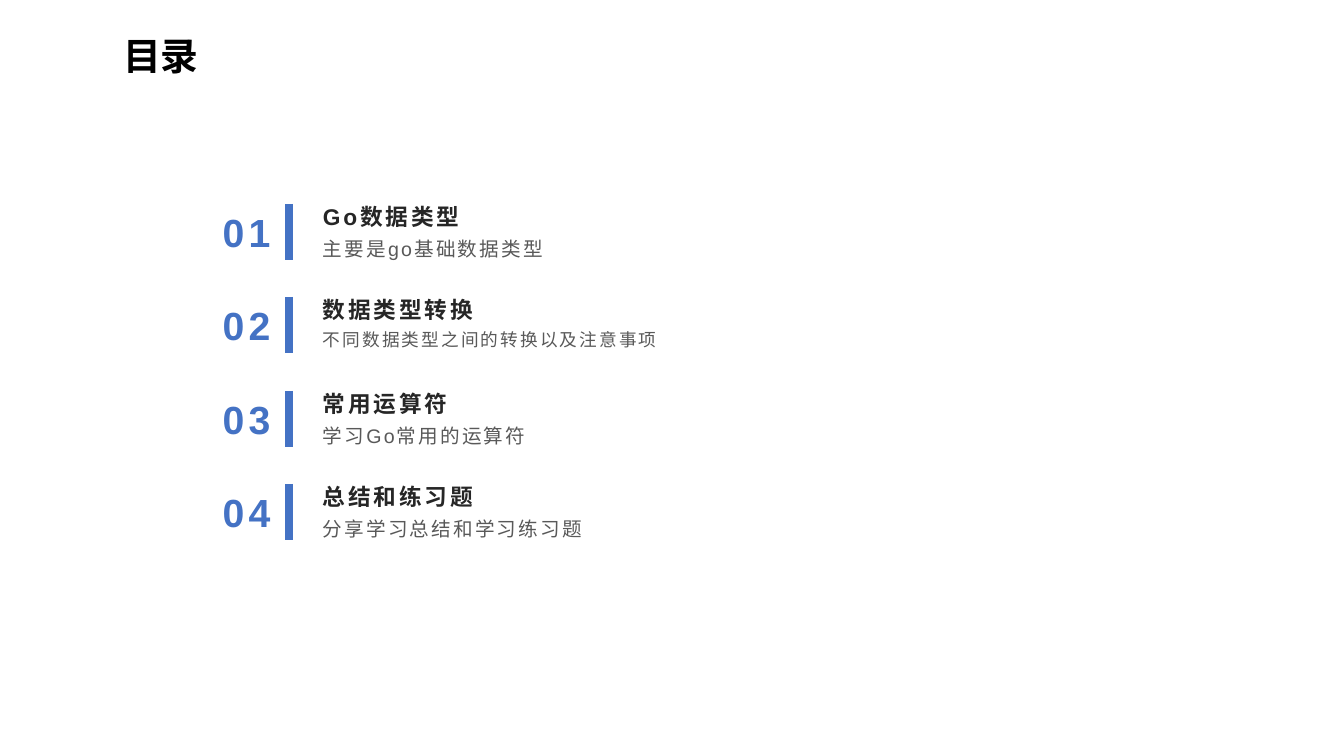
"""Build the contents slide of a Go course."""
from dataclasses import dataclass

from lxml import etree
from pptx import Presentation
from pptx import util as u
from pptx.dml.color import RGBColor
from pptx.enum import shapes, text
from pptx.oxml.ns import qn

PX = 914400 / 100.8
COLORS = {"title": "000000", "accent": "4472C4", "heading": "262626", "detail": "595959"}
CJK = "Noto Sans CJK SC"
ROW_TOP, ROW_PITCH, BAR_HEIGHT = 204, 93.5, 56
BAR_X, NUMBER_X, TEXT_X = 289, 207, 313


@dataclass(frozen=True)
class Style:
    """Look of one kind of text, with insets in pixels."""
    color: str
    size: float
    bold: bool = True
    spacing: float = 0
    line: float = 1.0
    align: text.PP_ALIGN = text.PP_ALIGN.LEFT
    anchor: text.MSO_ANCHOR = text.MSO_ANCHOR.TOP
    insets: tuple[int, int, int, int] = (10, 5, 10, 5)
    font: str = "Arial"


@dataclass(frozen=True)
class Topic:
    """One entry of the contents list."""
    heading: str
    detail: str
    detail_size: float = 14


TITLE = Style("title", 27, line=0.9, anchor=text.MSO_ANCHOR.MIDDLE,
              insets=(13, 7, 13, 7), font=CJK)
NUMBER = Style("accent", 28, spacing=3, align=text.PP_ALIGN.CENTER)
HEADING = Style("heading", 16.2, spacing=2, line=1.1,
                anchor=text.MSO_ANCHOR.BOTTOM, insets=(10, 5, 10, 0))

TOPICS = [
    Topic("Go数据类型", "主要是go基础数据类型"),
    Topic("数据类型转换", "不同数据类型之间的转换以及注意事项", 12.6),
    Topic("常用运算符", "学习Go常用的运算符"),
    Topic("总结和练习题", "分享学习总结和学习练习题"),
]


def px(value: float) -> u.Emu:
    """Turn pixels into EMU."""
    return u.Emu(round(value * PX))


def fill_text(sp, content: str, style: Style) -> None:
    """Write one styled paragraph into a shape."""
    tf = sp.text_frame
    tf.word_wrap = True
    tf.auto_size = text.MSO_AUTO_SIZE.NONE
    tf.vertical_anchor = style.anchor
    tf.margin_left, tf.margin_top, tf.margin_right, tf.margin_bottom = map(px, style.insets)
    p = tf.paragraphs[0]
    p.text = content
    p.alignment = style.align
    p.line_spacing = style.line
    p.font.size = u.Pt(style.size)
    p.font.bold = style.bold
    p.font.color.rgb = RGBColor.from_string(COLORS[style.color])
    p.font.name = style.font
    props = p._p.pPr.find(qn("a:defRPr"))
    props.set("spc", str(round(style.spacing * 100)))
    etree.SubElement(props, qn("a:ea")).set("typeface", CJK)


def add_text(s, content: str, style: Style, *box: int) -> None:
    """Add a text box at left, top, width, height in pixels."""
    fill_text(s.shapes.add_textbox(*map(px, box)), content, style)


def add_bar(s, top: int) -> None:
    """Add the upright bar between number and text."""
    bar = s.shapes.add_connector(shapes.MSO_CONNECTOR.STRAIGHT,
                                 *map(px, (BAR_X, top, BAR_X, top + BAR_HEIGHT)))
    bar.line.color.rgb = RGBColor.from_string(COLORS["accent"])
    bar.line.width = u.Pt(5.5)
    etree.SubElement(bar._element.spPr, qn("a:effectLst"))


def add_topic(s, index: int, topic: Topic) -> None:
    """Add one numbered row of the contents list."""
    top = ROW_TOP + int(index * ROW_PITCH)
    detail = Style("detail", topic.detail_size, bold=False, spacing=1.5,
                   line=1.2, insets=(10, 0, 10, 5))
    add_text(s, f"{index + 1:02}", NUMBER, NUMBER_X, top - 1, 79, 57)
    add_bar(s, top)
    add_text(s, topic.heading, HEADING, TEXT_X, top - 10, 379, 36)
    add_text(s, topic.detail, detail, TEXT_X, top + 28, 379, 38)


prs = Presentation()
prs.slide_width, prs.slide_height = px(1344), px(756)
s = prs.slides.add_slide(prs.slide_layouts[5])
title = s.shapes.title
title.left, title.top, title.width, title.height = map(px, (110, 26, 1159, 64))
fill_text(title, "目录", TITLE)
for index, topic in enumerate(TOPICS):
    add_topic(s, index, topic)
prs.save("out.pptx")
